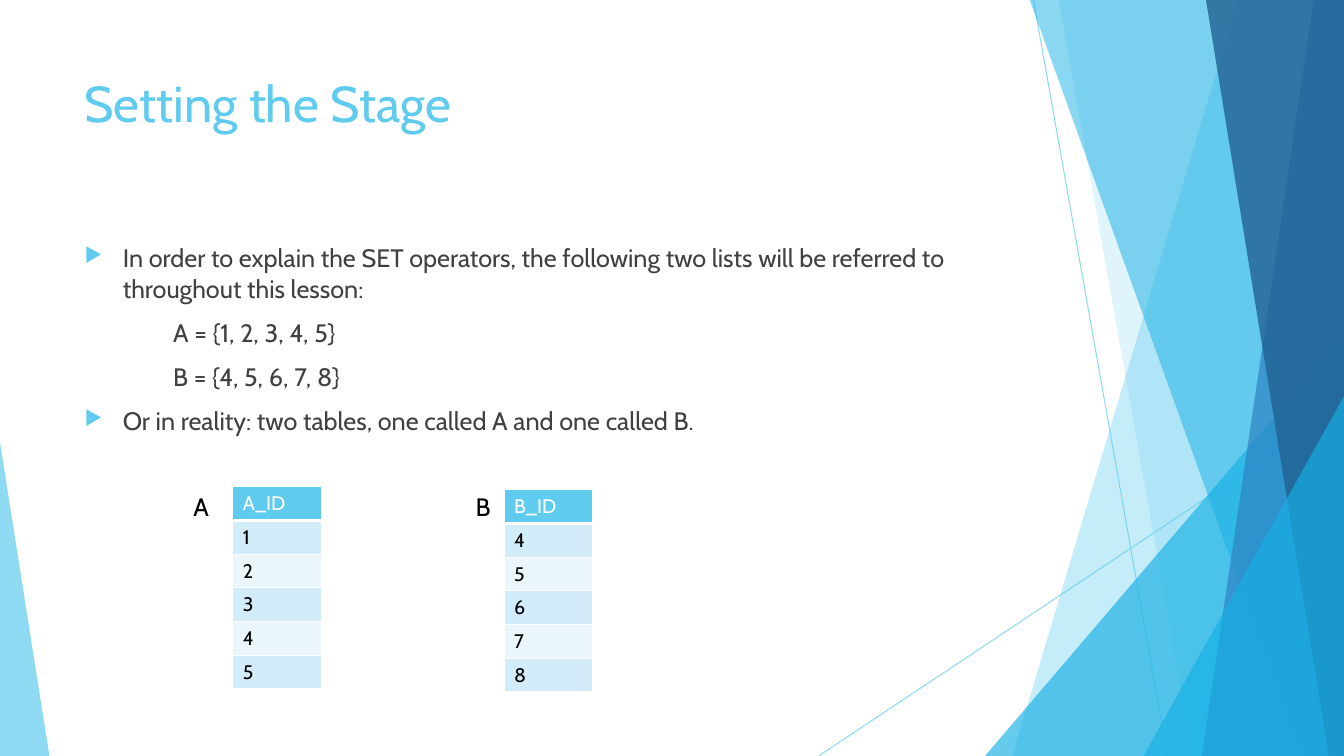
"""Build the "Setting the Stage" slide on SET operators."""
from dataclasses import dataclass

from lxml.etree import SubElement
from pptx import Presentation
from pptx.dml.color import RGBColor
from pptx.enum.shapes import MSO_CONNECTOR, MSO_SHAPE
from pptx.enum.text import MSO_AUTO_SIZE
from pptx.oxml.ns import qn
from pptx.util import Inches, Pt

SKY = RGBColor(0x5F, 0xCB, 0xEF)
CYAN = RGBColor(0x17, 0xB0, 0xE4)
BLUE = RGBColor(0x2E, 0x83, 0xC3)
NAVY = RGBColor(0x22, 0x62, 0x92)
GRAY = RGBColor(0x40, 0x40, 0x40)
BLACK = RGBColor(0, 0, 0)
WHITE = RGBColor(255, 255, 255)
STRIPES = (RGBColor(0xD2, 0xEC, 0xF9), RGBColor(0xEA, 0xF6, 0xFC))

WIDTH, HEIGHT = 13.33, 7.5
BAND_TOP = -0.01
ROW_HEIGHT = 0.31


@dataclass(frozen=True)
class Ray:
    start: tuple[float, float]
    end: tuple[float, float]


@dataclass(frozen=True)
class Band:
    top_left: float
    bottom_left: float
    color: RGBColor
    opacity: int


@dataclass(frozen=True)
class Wedge:
    left: float
    top: float
    width: float
    apex: int
    color: RGBColor
    opacity: int


@dataclass(frozen=True)
class Item:
    text: str
    bulleted: bool


@dataclass(frozen=True)
class Listing:
    name: str
    name_left: float
    left: float
    top: float
    values: range


RAYS = (Ray((10.25, 0), (11.58, HEIGHT)), Ray((WIDTH, 4.03), (8.12, HEIGHT)))
FACETS = (
    Band(12.28, 10.04, SKY, 36),
    Band(10.5, 11.83, SKY, 20),
    Wedge(9.77, 3.33, 3.56, 1, CYAN, 66),
    Band(10.21, 12.91, CYAN, 50),
    Band(13.03, 11.92, BLUE, 70),
    Band(11.96, 13.18, NAVY, 80),
    Wedge(11.34, 3.93, 1.99, 1, CYAN, 66),
    Wedge(0, 4.39, 0.49, 0, SKY, 70),
)
ITEMS = (
    Item("In order to explain the SET operators, the following two lists "
         "will be referred to throughout this lesson:", True),
    Item("A = {1, 2, 3, 4, 5}", False),
    Item("B = {4, 5, 6, 7, 8}", False),
    Item("Or in reality: two tables, one called A and one called B.", True),
)
LISTINGS = (
    Listing("A", 1.82, 2.31, 4.83, range(1, 6)),
    Listing("B", 4.62, 5, 4.86, range(4, 9)),
)


def set_opacity(shape, percent: int) -> None:
    """Make every colour of a shape partly transparent."""
    for color in list(shape._element.iter(qn("a:srgbClr"))):
        SubElement(color, qn("a:alpha"), val=str(percent * 1000))


def draw_ray(page, ray: Ray) -> None:
    """Draw one thin background line."""
    ends = [Inches(value) for value in ray.start + ray.end]
    line = page.shapes.add_connector(MSO_CONNECTOR.STRAIGHT, *ends)
    line.line.color.rgb = SKY
    line.line.width = Pt(0.75)
    SubElement(line._element.spPr, qn("a:effectLst"))
    set_opacity(line, 70)


def draw_facet(page, facet: Band | Wedge) -> None:
    """Draw one translucent background facet."""
    if isinstance(facet, Band):
        builder = page.shapes.build_freeform(Inches(facet.top_left), Inches(BAND_TOP))
        corners = ((WIDTH, BAND_TOP), (WIDTH, HEIGHT), (facet.bottom_left, HEIGHT))
        builder.add_line_segments([(Inches(x), Inches(y)) for x, y in corners])
        shape = builder.convert_to_shape()
    else:
        shape = page.shapes.add_shape(
            MSO_SHAPE.ISOSCELES_TRIANGLE, Inches(facet.left), Inches(facet.top),
            Inches(facet.width), Inches(HEIGHT - facet.top))
        shape.adjustments[0] = facet.apex
    shape.shadow.inherit = False
    shape.fill.solid()
    shape.fill.fore_color.rgb = facet.color
    shape.line.fill.background()
    set_opacity(shape, facet.opacity)


def write(para, text: str, size: float, color: RGBColor) -> None:
    """Add one formatted run to a paragraph."""
    span = para.add_run()
    span.text = text
    formats = {"name": "Cabin", "size": Pt(size), "bold": False}
    for name, value in formats.items():
        setattr(span.font, name, value)
    span.font.color.rgb = color


def add_box(page, left: float, top: float, width: float, height: float):
    """Add a wrapping text box and return its text frame."""
    box = page.shapes.add_textbox(
        Inches(left), Inches(top), Inches(width), Inches(height))
    box.text_frame.word_wrap = True
    return box.text_frame


def set_indent(para, bulleted: bool) -> None:
    """Give a paragraph its indent and, if wanted, its bullet."""
    properties = para._p.get_or_add_pPr()
    margin, indent = (0.38, -0.38) if bulleted else (0.88, 0)
    properties.set("marL", str(Inches(margin)))
    properties.set("indent", str(Inches(indent)))
    if bulleted:
        color = SubElement(properties, qn("a:buClr"))
        SubElement(color, qn("a:srgbClr"), val=str(SKY))
        SubElement(properties, qn("a:buSzPct"), val="80000")
        SubElement(properties, qn("a:buChar"), char="▶")
    else:
        SubElement(properties, qn("a:buNone"))


def add_items(page) -> None:
    """Write the body text."""
    frame = add_box(page, 0.74, 2.36, 9.4, 4.24)
    for index, item in enumerate(ITEMS):
        para = frame.add_paragraph() if index else frame.paragraphs[0]
        set_indent(para, item.bulleted)
        if index:
            para.space_before = Pt(10)
        write(para, item.text, 18, GRAY)


def set_borders(cell, bottom: float) -> None:
    """Draw white borders around a cell."""
    properties = cell._tc.get_or_add_tcPr()
    for side, width in {"L": 1, "R": 1, "T": 1, "B": bottom}.items():
        border = SubElement(properties, qn(f"a:ln{side}"), w=str(Pt(width)))
        fill = SubElement(border, qn("a:solidFill"))
        SubElement(fill, qn("a:srgbClr"), val=str(WHITE))


def add_listing(page, listing: Listing) -> None:
    """Add one single-column table and its name."""
    texts = [f"{listing.name}_ID", *map(str, listing.values)]
    table = page.shapes.add_table(
        len(texts), 1, Inches(listing.left), Inches(listing.top),
        Inches(0.88), Inches(ROW_HEIGHT * len(texts))).table
    for index, text in enumerate(texts):
        cell = table.cell(index, 0)
        set_borders(cell, 1 if index else 3)
        cell.fill.solid()
        cell.fill.fore_color.rgb = STRIPES[(index - 1) % 2] if index else SKY
        write(cell.text_frame.paragraphs[0], text, 14, BLACK if index else WHITE)
    frame = add_box(page, listing.name_left, 4.83, 0.29, 0.4)
    frame.auto_size = MSO_AUTO_SIZE.SHAPE_TO_FIT_TEXT
    write(frame.paragraphs[0], listing.name, 18, BLACK)


def main() -> None:
    """Build and save the deck."""
    deck = Presentation()
    deck.slide_width, deck.slide_height = Inches(WIDTH), Inches(HEIGHT)
    page = deck.slides.add_slide(deck.slide_layouts[6])
    for ray in RAYS:
        draw_ray(page, ray)
    for facet in FACETS:
        draw_facet(page, facet)
    title = add_box(page, 0.74, 0.67, 9.4, 1.44)
    write(title.paragraphs[0], "Setting the Stage", 36, SKY)
    add_items(page)
    for listing in LISTINGS:
        add_listing(page, listing)
    deck.save("out.pptx")


if __name__ == "__main__":
    main()
